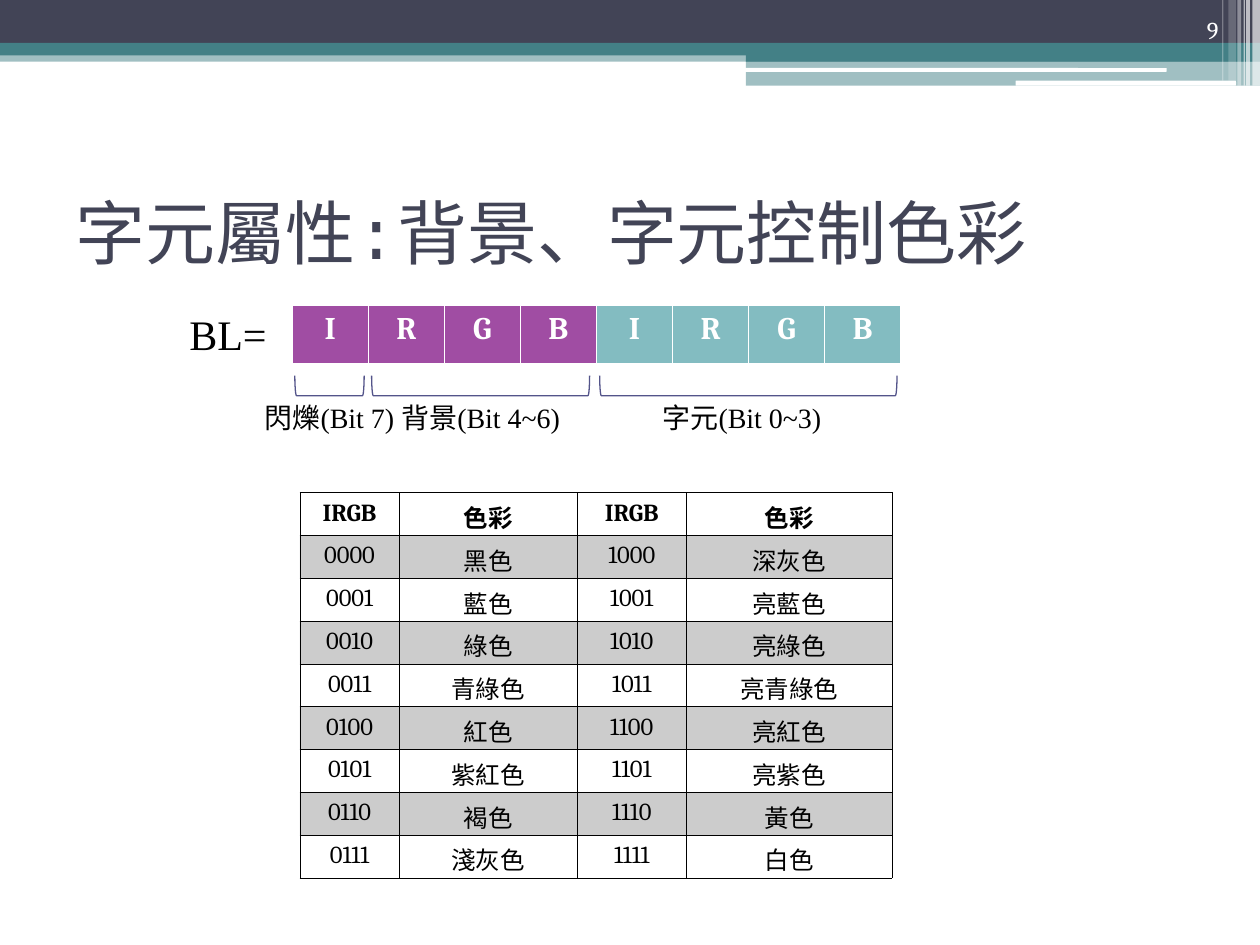
from lxml import etree
from pptx import Presentation
from pptx.dml.color import RGBColor
from pptx.enum import shapes, text
from pptx.oxml.ns import qn
from pptx.util import Inches, Pt

COLORS = {
    "navy": "424456", "teal": "438086", "white": "FFFFFF", "black": "000000",
    "purple": "A04DA3", "aqua": "83BCC1", "bracket": "53548A",
}
RECT = shapes.MSO_SHAPE.RECTANGLE
ROUND = shapes.MSO_SHAPE.ROUNDED_RECTANGLE
CENTER = text.PP_ALIGN.CENTER

# left, top, width, height, colour, opacity in percent, shape
BANNER = [
    (0, 0.4, 10, 0.09, "teal", 50, RECT),
    (0, 0, 10, 0.34, "navy", 100, RECT),
    (0, 0.34, 10, 0.1, "teal", 100, RECT),
    (5.92, 0.39, 4.08, 0.1, "teal", 100, RECT),
    (5.92, 0.48, 4.08, 0.2, "teal", 50, RECT),
    (5.91, 0.54, 3.35, 0.03, "white", 100, ROUND),
    (8.06, 0.64, 1.75, 0.04, "white", 100, ROUND),
    (9.94, 0, 0.06, 0.68, "white", 65, RECT),
    (9.89, 0, 0.03, 0.68, "white", 65, RECT),
    (9.87, 0, 0.01, 0.68, "white", 60, RECT),
    (9.82, 0, 0.03, 0.68, "white", 40, RECT),
    (9.75, 0, 0.06, 0.64, "white", 20, RECT),
    (9.7, 0, 0.01, 0.64, "white", 30, RECT),
]
DARK_NAMES = ["黑色", "藍色", "綠色", "青綠色", "紅色", "紫紅色", "褐色", "淺灰色"]
BRIGHT_NAMES = ["深灰色", "亮藍色", "亮綠色", "亮青綠色", "亮紅色", "亮紫色", "黃色", "白色"]


def rgb(name):
    return RGBColor.from_string(COLORS[name])


def fill_solid(fill, parent, color, opacity=100):
    """Fill with a colour; parent is the element that holds the fill."""
    fill.solid()
    fill.fore_color.rgb = rgb(color)
    if opacity < 100:
        clr = parent.find(qn("a:solidFill")).find(qn("a:srgbClr"))
        etree.SubElement(clr, qn("a:alpha"), val=str(opacity * 1000))


def format_run(r, size, font, color="black", bold=False):
    r.font.size = Pt(size)
    r.font.name = font
    r.font.bold = bold
    r.font.color.rgb = rgb(color)


def add_bar(s, x, y, w, h, color, opacity, kind):
    sp = s.shapes.add_shape(kind, Inches(x), Inches(y), Inches(w), Inches(h))
    sp.shadow.inherit = False
    sp.line.fill.background()
    fill_solid(sp.fill, sp._element.spPr, color, opacity)


def add_label(s, x, y, w, h, runs, size, color="black", align=None):
    """Add a text box whose one paragraph holds (text, font) runs."""
    tf = s.shapes.add_textbox(Inches(x), Inches(y), Inches(w), Inches(h)).text_frame
    tf.word_wrap = True
    p = tf.paragraphs[0]
    p.alignment = align
    for words, font in runs:
        r = p.add_run()
        r.text = words
        format_run(r, size, font, color)
    return tf


def add_bracket(s, x, y, w, h):
    """Add a bracket open at the top; a left bracket turned on its side."""
    sp = s.shapes.add_shape(shapes.MSO_SHAPE.LEFT_BRACKET,
                            Inches(x + (w - h) / 2), Inches(y - (w - h) / 2),
                            Inches(h), Inches(w))
    sp.rotation = 270
    sp.shadow.inherit = False
    sp.fill.background()
    sp.line.color.rgb = rgb("bracket")
    sp.line.width = Pt(0.75)


def set_borders(cell, color, widths):
    """Draw left, right, top and bottom borders with widths in points."""
    tc_pr = cell._tc.get_or_add_tcPr()
    for i, (side, width) in enumerate(zip("LRTB", widths)):
        ln = etree.Element(qn(f"a:ln{side}"), w=str(Pt(width)))
        fill = etree.SubElement(ln, qn("a:solidFill"))
        etree.SubElement(fill, qn("a:srgbClr"), val=COLORS[color])
        tc_pr.insert(i, ln)


def set_cell(cell, words, size, color="black", bold=False):
    cell.text = words
    p = cell.text_frame.paragraphs[0]
    p.alignment = CENTER
    format_run(p.runs[0], size, "Cambria", color, bold)


def add_grid(s, x, y, widths, row_height, rows):
    table = s.shapes.add_table(rows, len(widths), Inches(x), Inches(y),
                               Inches(sum(widths)), Inches(row_height * rows)).table
    table.first_row = table.horz_banding = False
    for column, width in zip(table.columns, widths):
        column.width = Inches(width)
    for row in table.rows:
        row.height = Inches(row_height)
    return table


def add_color_table(s):
    rows = [["IRGB", "色彩"] * 2]
    for i, (dark, bright) in enumerate(zip(DARK_NAMES, BRIGHT_NAMES)):
        rows.append([f"{i:04b}", dark, f"{i + 8:04b}", bright])
    table = add_grid(s, 2.38, 3.91, [0.79, 1.41, 0.87, 1.63], 0.34, len(rows))
    for i, row in enumerate(rows):
        top = 0.96 if i == 1 else 0.45
        bottom = 0.96 if i == 0 else 0.45
        for j, words in enumerate(row):
            cell = table.cell(i, j)
            set_cell(cell, words, 14, bold=i == 0)
            if i % 2:
                fill_solid(cell.fill, cell._tc.tcPr, "black", 20)
            else:
                cell.fill.background()
            set_borders(cell, "black", (0.45, 0.45, top, bottom))


def add_bit_table(s):
    bits = "IRGB" * 2
    table = add_grid(s, 2.32, 2.42, [4.83 / len(bits)] * len(bits), 0.47, 1)
    for j, bit in enumerate(bits):
        cell = table.cell(0, j)
        set_cell(cell, bit, 18, "white", True)
        fill_solid(cell.fill, cell._tc.tcPr, "purple" if j < 4 else "aqua")
        set_borders(cell, "white", (0.45, 0.45, 0.45, 1.47))


def add_title(s):
    title = s.shapes.title
    title.left, title.top = Inches(0.5), Inches(1.25)
    title.width, title.height = Inches(9), Inches(1.17)
    tf = title.text_frame
    tf.text = "字元屬性:背景、字元控制色彩"
    tf.vertical_anchor = text.MSO_ANCHOR.MIDDLE
    p = tf.paragraphs[0]
    p.alignment = text.PP_ALIGN.LEFT
    format_run(p.runs[0], 40, "Courier New", "navy")


def main():
    prs = Presentation()
    prs.slide_width, prs.slide_height = Inches(10), Inches(7.5)
    s = prs.slides.add_slide(prs.slide_layouts[5])
    for bar in BANNER:
        add_bar(s, *bar)
    add_title(s)
    tf = add_label(s, 8.94, 0, 0.83, 0.4, [("9", "Cambria")], 13.9, "white",
                   text.PP_ALIGN.RIGHT)
    tf.vertical_anchor = text.MSO_ANCHOR.BOTTOM
    tf.paragraphs[0].line_spacing = 0.8
    add_color_table(s)
    add_bit_table(s)
    for x, w in [(2.34, 0.55), (2.95, 1.73), (4.76, 2.36)]:
        add_bracket(s, x, 2.98, w, 0.16)
    for x, w, name, bits in [(1.79, 1.65, "閃爍", "(Bit 7)"),
                             (2.99, 1.65, "背景", "(Bit 4~6)"),
                             (4.71, 2.36, "字元", "(Bit 0~3)")]:
        add_label(s, x, 3.13, w, 0.37,
                  [(name, "Arial"), (bits, "Times New Roman")], 16, align=CENTER)
    add_label(s, 1.28, 2.4, 1.06, 0.5, [("BL=", "Times New Roman")], 24, align=CENTER)
    prs.save("out.pptx")


if __name__ == "__main__":
    main()
